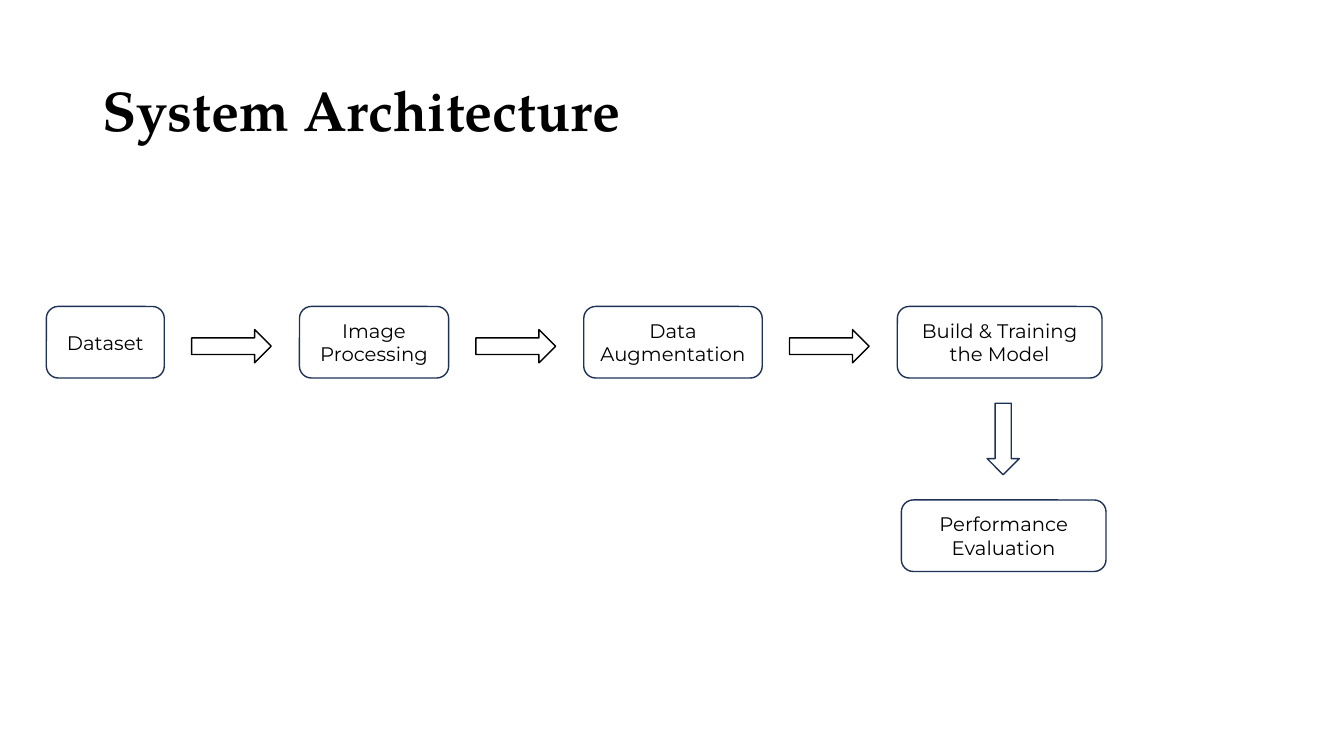
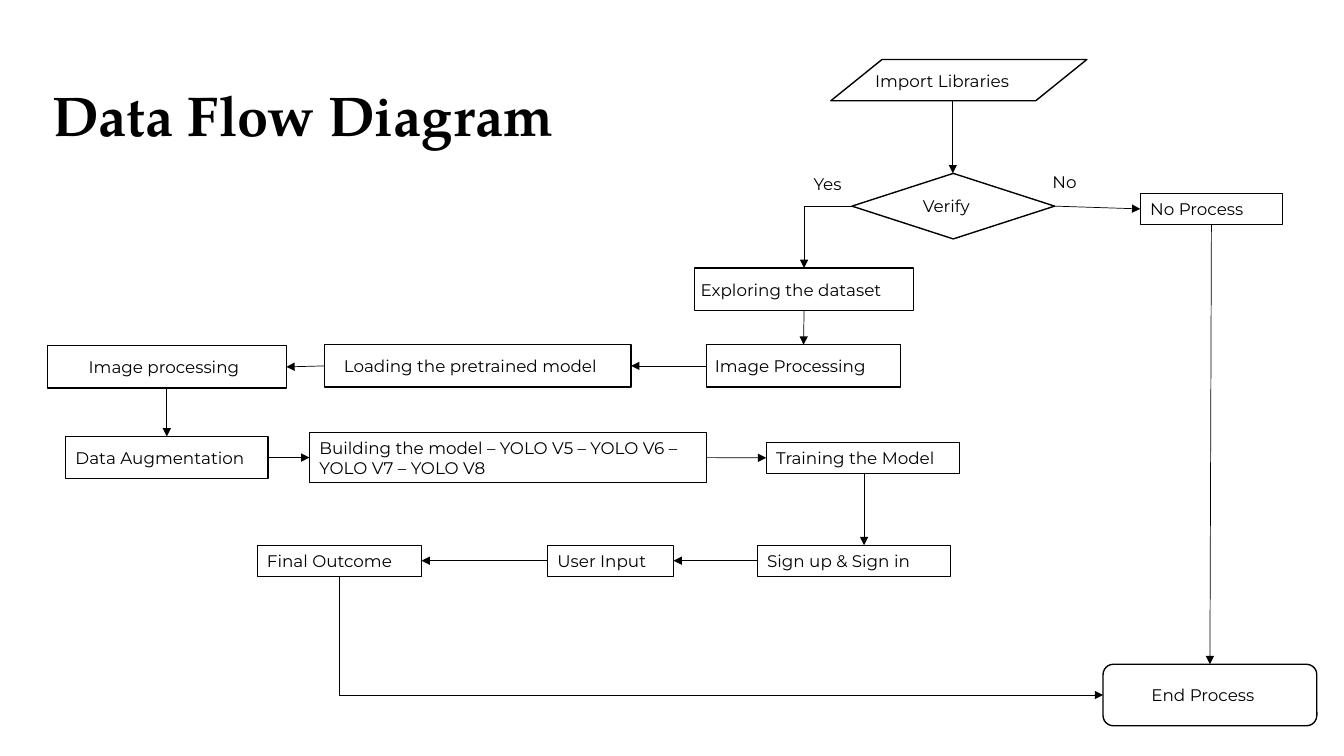
"""Build the two slides on system architecture and data flow."""
from lxml import etree
from pptx import Presentation
from pptx.dml.color import RGBColor
from pptx.enum.shapes import MSO_CONNECTOR, MSO_SHAPE
from pptx.enum.text import MSO_ANCHOR, PP_ALIGN
from pptx.oxml.ns import qn
from pptx.util import Inches, Pt

BLACK = RGBColor(0x00, 0x00, 0x00)
WHITE = RGBColor(0xFF, 0xFF, 0xFF)
NAVY = RGBColor(0x1E, 0x32, 0x56)
HEAD = "TeX Gyre Pagella"
BODY = "Montserrat"
CELL = Inches(0.1)
RECT = MSO_SHAPE.RECTANGLE
ROUND = MSO_SHAPE.ROUNDED_RECTANGLE
SLANT = MSO_SHAPE.FLOWCHART_DATA
RHOMB = MSO_SHAPE.FLOWCHART_DECISION
EAST = MSO_SHAPE.RIGHT_ARROW
SOUTH = MSO_SHAPE.DOWN_ARROW
LINE = MSO_CONNECTOR.STRAIGHT
ELBOW = MSO_CONNECTOR.ELBOW
LEFT = PP_ALIGN.LEFT
CENTER = PP_ALIGN.CENTER
MIDDLE = MSO_ANCHOR.MIDDLE
TOP, WEST, BASE, SIDE = range(4)


def grid(*cells):
    """Turn counts of grid cells into lengths."""
    return [round(n * CELL) for n in cells]


def write(shape, text, size=12, font=BODY, bold=False, align=LEFT, inset=1, pad=0, space=None):
    """Write formatted text into a shape."""
    frame = shape.text_frame
    frame.word_wrap = True
    frame.vertical_anchor = MIDDLE
    frame.margin_left, frame.margin_right = grid(inset, pad)
    frame.margin_top = frame.margin_bottom = 0
    para = frame.paragraphs[0]
    para.alignment = align
    para.line_spacing = space
    run = para.add_run()
    run.text = text
    run.font.size = Pt(size)
    run.font.name = font
    run.font.bold = bold
    run.font.color.rgb = BLACK


def label(slide, text, area, **form):
    """Place free text on the grid."""
    write(slide.shapes.add_textbox(*grid(*area)), text, **form)


def title(slide, text, left, top):
    """Place the slide title."""
    label(slide, text, (left, top, 115, 14.5), size=40, font=HEAD, bold=True, space=0.9)


def box(slide, area, text="", kind=RECT, color=BLACK, weight=1, **form):
    """Draw an outlined white shape with optional text."""
    shape = slide.shapes.add_shape(kind, *grid(*area))
    shape.shadow.inherit = False
    shape.fill.solid()
    shape.fill.fore_color.rgb = WHITE
    shape.line.color.rgb = color
    shape.line.width = Pt(weight)
    if text:
        write(shape, text, **form)
    return shape


def style(line):
    """Give a connector a thin black stroke and an arrowhead."""
    line.line.color.rgb = BLACK
    line.line.width = Pt(0.5)
    props = line.element.spPr
    tail = etree.SubElement(props.find(qn("a:ln")), qn("a:tailEnd"))
    tail.set("type", "triangle")
    etree.SubElement(props, qn("a:effectLst"))


def drop(slide, x, top, base):
    """Draw a vertical arrow between two rows."""
    style(slide.shapes.add_connector(LINE, *grid(x, top, x, base)))


def join(slide, start, out, end, into, kind=LINE):
    """Glue an arrow to the sides of two shapes."""
    line = slide.shapes.add_connector(kind, 0, 0, 0, 0)
    line.begin_connect(start, out)
    line.end_connect(end, into)
    if kind == ELBOW:
        line.element.spPr.find(qn("a:prstGeom")).set("prst", "bentConnector2")
        if out == BASE:
            turn(line)
    style(line)


def turn(line):
    """Make an elbow run down first and then right."""
    wide, high = line.width, line.height
    line.left += (wide - high) // 2
    line.top += (high - wide) // 2
    line.width, line.height = high, wide
    frame = line.element.spPr.find(qn("a:xfrm"))
    frame.set("rot", "16200000")
    frame.set("flipH", "1")


def system(slide):
    """Draw the chain of system steps."""
    title(slide, "System Architecture", 9.2, 4)
    form = {"kind": ROUND, "color": NAVY, "size": 14, "align": CENTER, "pad": 1}
    steps = [("Dataset", 11.7), ("Image Processing", 14.8),
             ("Data Augmentation", 17.7), ("Build & Training the Model", 20.3)]
    left, top, high, gap = 4.6, 30.4, 7.1, 13.4
    for spot, (text, wide) in enumerate(steps):
        if spot:
            box(slide, (left - gap + 2.7, top + 2.3, 7.9, 3.3), kind=EAST)
        box(slide, (left, top, wide, high), text, **form)
        left += wide + gap
    box(slide, (97.9, 40, 3.2, high), kind=SOUTH, color=NAVY)
    box(slide, (89.4, 49.6, 20.3, high), "Performance Evaluation", **form)


def flow(slide):
    """Draw the data flow chart."""
    title(slide, "Data Flow Diagram", 4.2, 4.5)
    thin = {"weight": 0.75}
    tall, low = 4.2, 3.05

    box(slide, (82.4, 5.9, 25.4, 4.1), kind=SLANT)
    label(slide, "Import Libraries", (85.8, 6.5, 19.5, 3))
    check = box(slide, (84.5, 17.2, 20.1, 6.5), "Verify", RHOMB, inset=2)
    label(slide, "Yes", (79.7, 16.7, 7.2, 3))
    label(slide, "No", (103.4, 16.5, 6.1, 3))
    stop = box(slide, (113.1, 19.2, 14.1, low), "No Process", **thin)
    end = box(slide, (109.4, 65.9, 21.2, 6.1), "End Process", ROUND, inset=4.5)

    data = box(slide, (68.9, 26.6, 21.7, tall), "Exploring the dataset", inset=0.6)
    image = box(slide, (70.1, 34.2, 19.2, tall), "Image Processing", inset=0.8)
    load = box(slide, (32.2, 34.2, 30.4, tall), "Loading the pretrained model", inset=1.9)
    clean = box(slide, (4.7, 34.3, 23.7, tall), "Image processing", inset=4.1)

    more = box(slide, (6.5, 43.3, 20.1, tall), "Data Augmentation")
    build = box(slide, (30.7, 42.9, 39.4, 5),
                "Building the model – YOLO V5 – YOLO V6 – YOLO V7 – YOLO V8", pad=1, **thin)
    train = box(slide, (76, 43.9, 19.2, low), "Training the Model", **thin)

    sign = box(slide, (75.1, 54.1, 19.2, low), "Sign up & Sign in", **thin)
    user = box(slide, (54.3, 54.1, 12.5, low), "User Input", **thin)
    final = box(slide, (25.5, 54.1, 16.3, low), "Final Outcome", **thin)

    drop(slide, 94.5, 9.9, 17.2)
    drop(slide, 85.7, 46.9, 54.1)
    for start, out, goal, into, kind in [
        (check, WEST, data, TOP, ELBOW),
        (check, SIDE, stop, WEST, LINE),
        (stop, BASE, end, TOP, LINE),
        (data, BASE, image, TOP, LINE),
        (image, WEST, load, SIDE, LINE),
        (load, WEST, clean, SIDE, LINE),
        (clean, BASE, more, TOP, LINE),
        (more, SIDE, build, WEST, LINE),
        (build, SIDE, train, WEST, LINE),
        (sign, WEST, user, SIDE, LINE),
        (user, WEST, final, SIDE, LINE),
        (final, BASE, end, WEST, ELBOW),
    ]:
        join(slide, start, out, goal, into, kind)


def main():
    """Build and save the deck."""
    deck = Presentation()
    deck.slide_width, deck.slide_height = Inches(13.33), Inches(7.5)
    blank = deck.slide_layouts[6]
    for draw in (system, flow):
        draw(deck.slides.add_slide(blank))
    deck.save("out.pptx")


if __name__ == "__main__":
    main()
